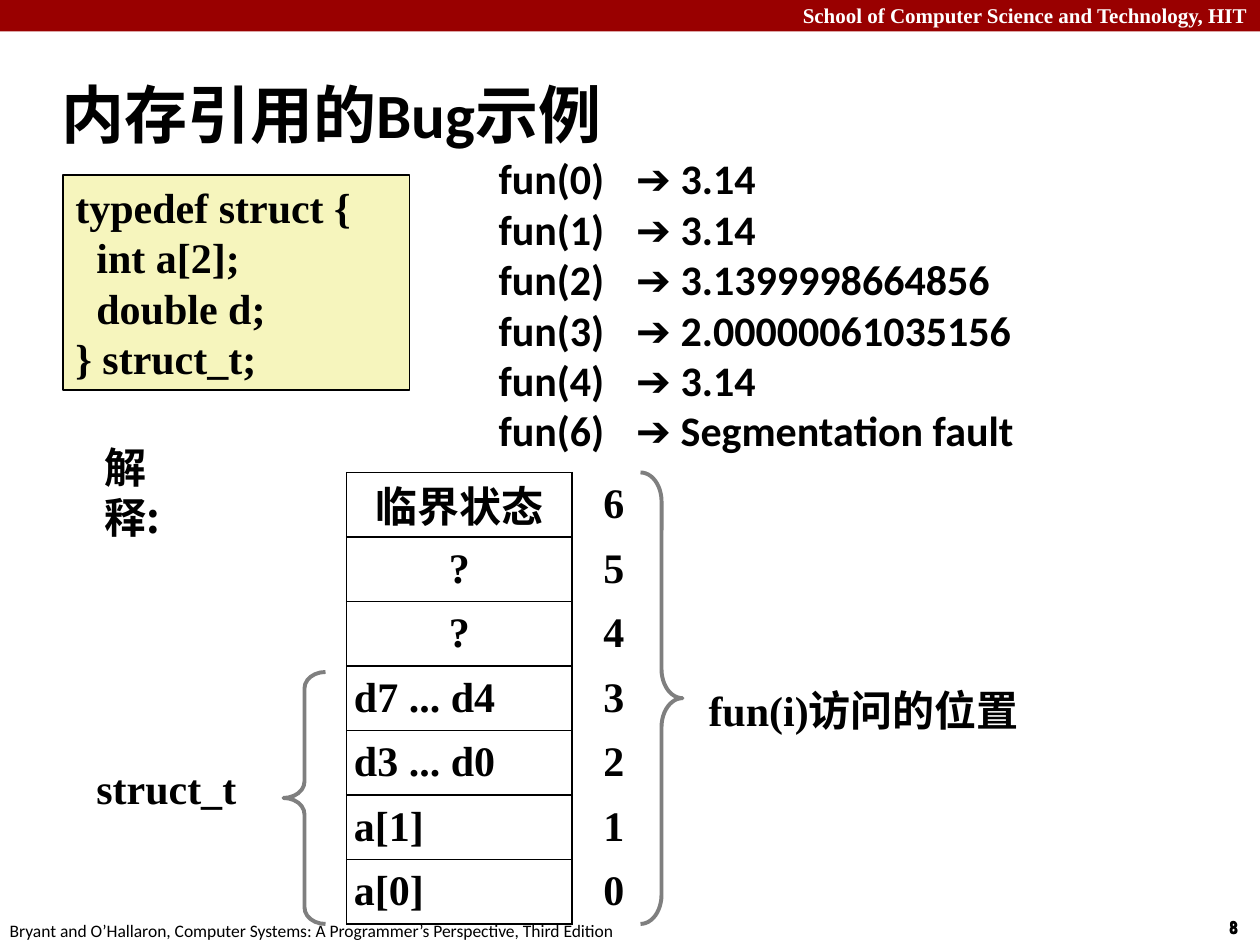
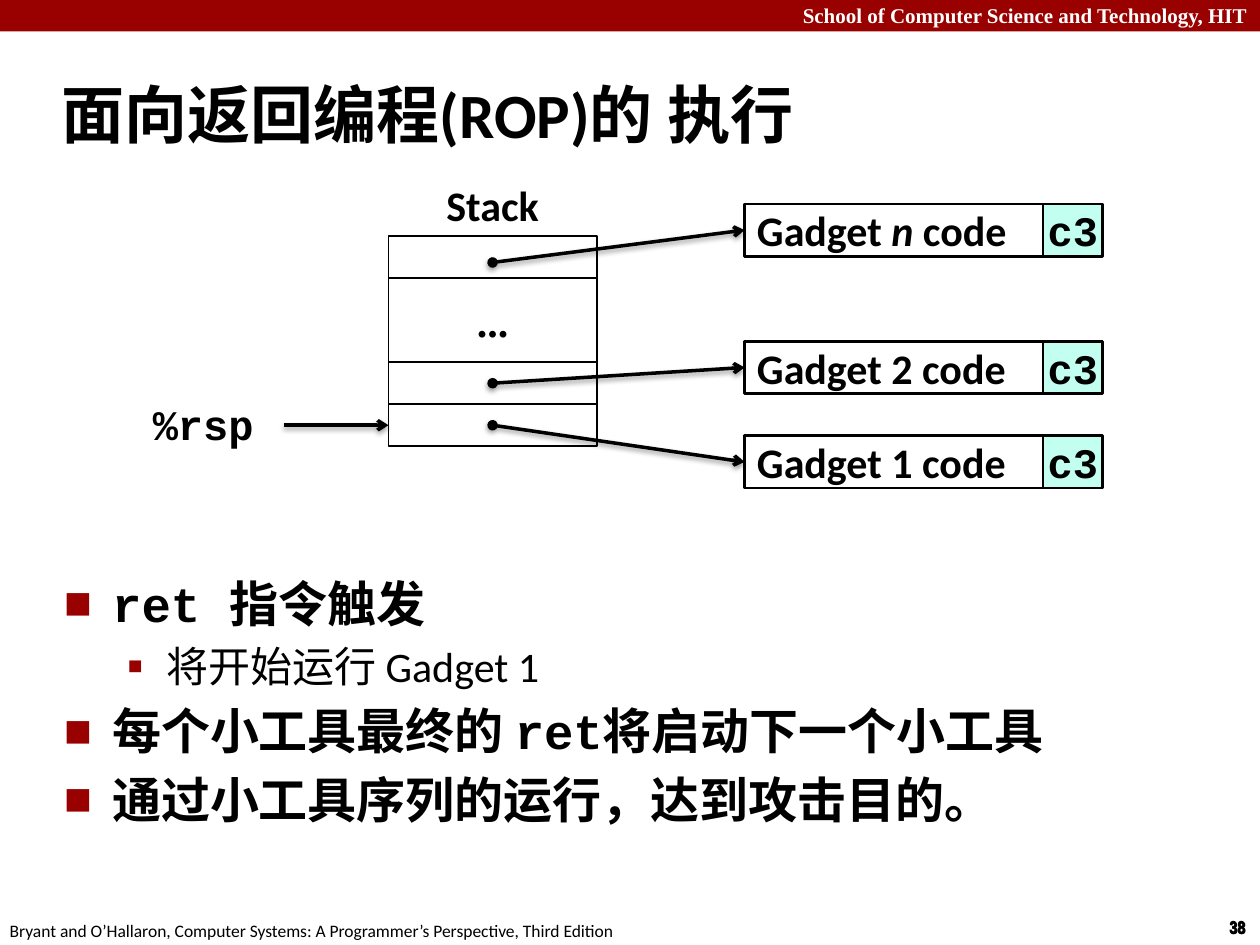
from lxml import etree
from pptx import Presentation
from pptx.dml.color import RGBColor
from pptx.enum.shapes import MSO_CONNECTOR, MSO_SHAPE
from pptx.enum.text import MSO_ANCHOR, MSO_AUTO_SIZE, PP_ALIGN
from pptx.oxml.ns import qn
from pptx.util import Pt

RECT = MSO_SHAPE.RECTANGLE
LEFT_BRACE, RIGHT_BRACE = MSO_SHAPE.LEFT_BRACE, MSO_SHAPE.RIGHT_BRACE
STRAIGHT = MSO_CONNECTOR.STRAIGHT
TOP, MIDDLE = MSO_ANCHOR.TOP, MSO_ANCHOR.MIDDLE
LEFT, CENTER, RIGHT = PP_ALIGN.LEFT, PP_ALIGN.CENTER, PP_ALIGN.RIGHT
LEFT_SIDE = 1

COLORS = {"band": "990000", "white": "FFFFFF", "black": "000000",
          "code": "F6F5BD", "brace": "7F7F7F", "ret": "C2FFF0"}
SANS, SERIF, MONO = "Calibri", "Times New Roman", "Courier New"
CJK, NARROW = "Noto Sans CJK SC", "Arial Narrow"
WIDTH, HEIGHT = 720, 540
INSET = (7.2, 3.6)


def rgb(name):
    return RGBColor.from_string(COLORS[name])


def add_xml(parent, tag, **attributes):
    return etree.SubElement(parent, qn(tag), attributes)


def add_run(paragraph, text, font=SANS, size=24, bold=True, italic=False, color="black"):
    run = paragraph.add_run()
    run.text = text
    run.font.name, run.font.size = font, Pt(size)
    run.font.bold, run.font.italic = bold, italic
    run.font.color.rgb = rgb(color)
    add_xml(run._r.get_or_add_rPr(), "a:ea", typeface=CJK)


def set_frame(frame, inset=INSET, anchor=TOP):
    frame.word_wrap = True
    frame.auto_size = MSO_AUTO_SIZE.NONE
    frame.vertical_anchor = anchor
    frame.margin_left = frame.margin_right = Pt(inset[0])
    frame.margin_top = frame.margin_bottom = Pt(inset[1])


def fill_lines(frame, lines, align=LEFT, spacing=None, tab=None, **style):
    """Each line is a string or a list of (text, extra style) runs."""
    for index, line in enumerate(lines):
        paragraph = frame.paragraphs[0] if index == 0 else frame.add_paragraph()
        paragraph.alignment = align
        if spacing:
            paragraph.line_spacing = spacing
        if tab:
            stops = add_xml(paragraph._p.get_or_add_pPr(), "a:tabLst")
            add_xml(stops, "a:tab", pos=str(Pt(tab)), algn="l")
        runs = [(line, {})] if isinstance(line, str) else line
        for text, extra in runs:
            add_run(paragraph, text, **{**style, **extra})


def add_text(slide, box, lines, inset=INSET, anchor=TOP, **style):
    label = slide.shapes.add_textbox(*map(Pt, box))
    set_frame(label.text_frame, inset, anchor)
    fill_lines(label.text_frame, lines, **style)


def add_box(slide, box, fill=None, line="black", weight=1, kind=RECT):
    shape = slide.shapes.add_shape(kind, *map(Pt, box))
    shape.shadow.inherit = False
    if fill:
        shape.fill.solid()
        shape.fill.fore_color.rgb = rgb(fill)
    else:
        shape.fill.background()
    if line:
        shape.line.color.rgb = rgb(line)
        shape.line.width = Pt(weight)
    else:
        shape.line.fill.background()
    return shape


def add_text_box(slide, box, lines, fill=None, weight=1, inset=INSET, anchor=MIDDLE, **style):
    shape = add_box(slide, box, fill, weight=weight)
    set_frame(shape.text_frame, inset, anchor)
    fill_lines(shape.text_frame, lines, **style)
    return shape


def add_brace(slide, box, kind, curve):
    brace = add_box(slide, box, line="brace", weight=2.25, kind=kind)
    brace.adjustments[0] = curve


def add_arrow(slide, start, end, target, dotted):
    """Arrow that ends at the left side of its target."""
    arrow = slide.shapes.add_connector(STRAIGHT, *map(Pt, start + end))
    arrow.end_connect(target, LEFT_SIDE)
    arrow.line.color.rgb = rgb("black")
    arrow.line.width = Pt(2)
    line = arrow.line._get_or_add_ln()
    if dotted:
        add_xml(line, "a:headEnd", type="oval")
    add_xml(line, "a:tailEnd", type="arrow")
    effects = add_xml(arrow._element.spPr, "a:effectLst")
    shadow = add_xml(effects, "a:outerShdw", blurRad=str(Pt(3.1)), dist=str(Pt(1.6)),
                     dir="5400000", rotWithShape="0")
    tint = add_xml(shadow, "a:srgbClr", val=COLORS["black"])
    add_xml(tint, "a:alpha", val="38000")


def place(placeholder, box):
    placeholder.left, placeholder.top, placeholder.width, placeholder.height = map(Pt, box)


def start_slide(deck, layout, title, number):
    """Band, footer, page number and title of every slide."""
    slide = deck.slides.add_slide(deck.slide_layouts[layout])
    add_box(slide, (0, 0, WIDTH, 18), "band", None)
    add_text(slide, (0, -2, WIDTH, 21.6), ["School of Computer Science and Technology, HIT"],
             align=RIGHT, font=SERIF, size=12, color="white")
    for dx, dy in ((0, 0.5), (0, 0), (0.5, 0.5)):
        add_text(slide, (702.5 + dx, 523.5 + dy, 17, 15), [str(number)],
                 inset=(0, 0), font=NARROW, size=10)
    add_text(slide, (-1.5, 522, 380, 19.5),
             ["Bryant and O’Hallaron, Computer Systems: A Programmer’s Perspective, Third Edition"],
             size=10, bold=False)
    heading = slide.shapes.title
    place(heading, (28, 34.5, 692, 60))
    set_frame(heading.text_frame, anchor=MIDDLE)
    fill_lines(heading.text_frame, [title], size=36)
    return slide


def format_cell(cell, text, align, sides):
    """Text, white fill, and a border on the named sides only."""
    cell.margin_left = cell.margin_right = Pt(4.3)
    cell.margin_top = cell.margin_bottom = Pt(0)
    cell.vertical_anchor = MIDDLE
    fill_lines(cell.text_frame, [text], align=align, font=SERIF)
    properties = cell._tc.get_or_add_tcPr()
    for side in "LRTB":
        border = add_xml(properties, f"a:ln{side}", w=str(Pt(1)))
        if side in sides:
            add_xml(add_xml(border, "a:solidFill"), "a:srgbClr", val=COLORS["black"])
        else:
            add_xml(border, "a:noFill")
    cell.fill.solid()
    cell.fill.fore_color.rgb = rgb("white")


def draw_memory(slide, box):
    """Memory cells with their index, and the braces on both sides."""
    left, top, width, height = box
    index_width = 34
    contents = ["临界状态", "?", "?", "d7 ... d4", "d3 ... d0", "a[1]", "a[0]"]
    count = len(contents)
    memory = slide.shapes.add_table(count, 2, *map(Pt, box)).table
    memory.first_row = memory.horz_banding = False
    memory.columns[0].width = Pt(width - index_width)
    memory.columns[1].width = Pt(index_width)
    for row, content in enumerate(contents):
        memory.rows[row].height = Pt(height / count)
        format_cell(memory.cell(row, 0), content, CENTER if row < 3 else LEFT, "LRTB")
        format_cell(memory.cell(row, 1), str(count - 1 - row), RIGHT, "L")

    # Everything fun(i) reaches
    add_brace(slide, (left + width + 5, top, 24, height), RIGHT_BRACE, 0.69)
    add_text(slide, (left + width + 41, top + 115.2, 216, 30), ["fun(i)访问的位置"],
             inset=(2.9, 2.9), spacing=1.1, font=SERIF)
    # The struct itself
    add_brace(slide, (left - 36, top + 114, 24, height - 114), LEFT_BRACE, 0.39)
    add_text(slide, (left - 150, top + 162, 100, 36), ["struct_t"], font=SERIF)


def build_bug_slide(deck):
    slide = start_slide(deck, 5, "内存引用的Bug示例", 8)
    # Code and its results
    add_text_box(slide, (36, 100, 198, 123),
                 ["typedef struct {", "  int a[2];", "  double d;", "} struct_t;"],
                 fill="code", anchor=TOP, spacing=Pt(28.8), font=SERIF)
    results = {0: "3.14", 1: "3.14", 2: "3.1399998664856", 3: "2.00000061035156",
               4: "3.14", 6: "Segmentation fault"}
    add_text(slide, (282, 84.5, 348, 179),
             [f"fun({i})\t➔ {result}" for i, result in results.items()],
             inset=(2.9, 2.9), spacing=Pt(28.8), tab=78.5)
    # Explanation
    add_text(slide, (60, 252, 45, 60), ["解释:"], inset=(0, 0), font=CJK)
    draw_memory(slide, (198, 270, 163, 258))


def draw_gadget(slide, box, name):
    left, top, width, height = box
    ret_width = 34
    add_text_box(slide, (left + width - ret_width, top, ret_width, height), ["c3"],
                 fill="ret", inset=(0, 3.6), align=CENTER, font=MONO)
    return add_text_box(slide, box, [name], weight=1.5)


def draw_stack(slide, box):
    """Stack cells, the gadgets they point to, and the stack pointer."""
    left, top, width, unit = box
    middle = left + width / 2
    add_text(slide, (left, top - 36, width, 36), ["Stack"], align=CENTER)
    add_box(slide, (left, top, width, unit))
    add_text_box(slide, (left, top + unit, width, 2 * unit), ["..."],
                 inset=(7.2, 0), align=CENTER, font=SERIF)
    add_box(slide, (left, top + 3 * unit, width, unit))
    current = add_box(slide, (left, top + 4 * unit, width, unit))

    # Gadgets: name, distance below the stack top, start of the arrow
    gadgets = [([("Gadget ", {}), ("n", {"italic": True}), (" code", {})], -18.5, 15),
               ("Gadget 2 code", 60, 3.5 * unit),
               ("Gadget 1 code", 114, 4.5 * unit)]
    for name, drop, start in gadgets:
        gadget_left, gadget_top = left + 203.5, top + drop
        gadget = draw_gadget(slide, (gadget_left, gadget_top, 204.5, 30), name)
        add_arrow(slide, (middle, top + start), (gadget_left, gadget_top + 15), gadget, True)

    # Stack pointer
    pointer_y = top + 4.5 * unit
    add_arrow(slide, (left - 60, pointer_y), (left, pointer_y), current, False)
    add_text(slide, (left - 168, pointer_y - 13, 98, 24), ["%rsp"],
             anchor=MIDDLE, align=RIGHT, font=MONO)


def fill_bullets(body, box, items):
    place(body, box)
    set_frame(body.text_frame)
    fill_lines(body.text_frame, [runs for _, runs in items], size=28)
    marks = [(27.4, 27.4, "■", 60), (58.3, 22.3, "▪", 110)]
    for paragraph, (level, _) in zip(body.text_frame.paragraphs, items):
        indent, hanging, mark, percent = marks[level]
        paragraph.level = level
        properties = paragraph._p.get_or_add_pPr()
        properties.set("marL", str(Pt(indent)))
        properties.set("indent", str(-Pt(hanging)))
        add_xml(add_xml(properties, "a:buClr"), "a:srgbClr", val=COLORS["band"])
        add_xml(properties, "a:buSzPct", val=str(percent * 1000))
        add_xml(properties, "a:buFont", typeface=SANS)
        add_xml(properties, "a:buChar", char=mark)
    body.text_frame.paragraphs[0].space_before = Pt(0)


def build_rop_slide(deck):
    slide = start_slide(deck, 1, "面向返回编程(ROP)的 执行", 38)
    mono = {"font": MONO}
    fill_bullets(slide.placeholders[1], (29.5, 324, 622, 174), [
        (0, [("ret ", mono), ("指令触发", {})]),
        (1, [("将开始运行 Gadget 1", {"size": 24, "bold": False})]),
        (0, [("每个小工具最终的 ", {}), ("ret将启动下一个小工具", mono)]),
        (0, [("通过小工具序列的运行，达到攻击目的。", {})]),
    ])
    draw_stack(slide, (222, 135, 119, 24))


def main():
    deck = Presentation()
    deck.slide_width, deck.slide_height = Pt(WIDTH), Pt(HEIGHT)
    build_bug_slide(deck)
    build_rop_slide(deck)
    deck.save("out.pptx")


if __name__ == "__main__":
    main()
